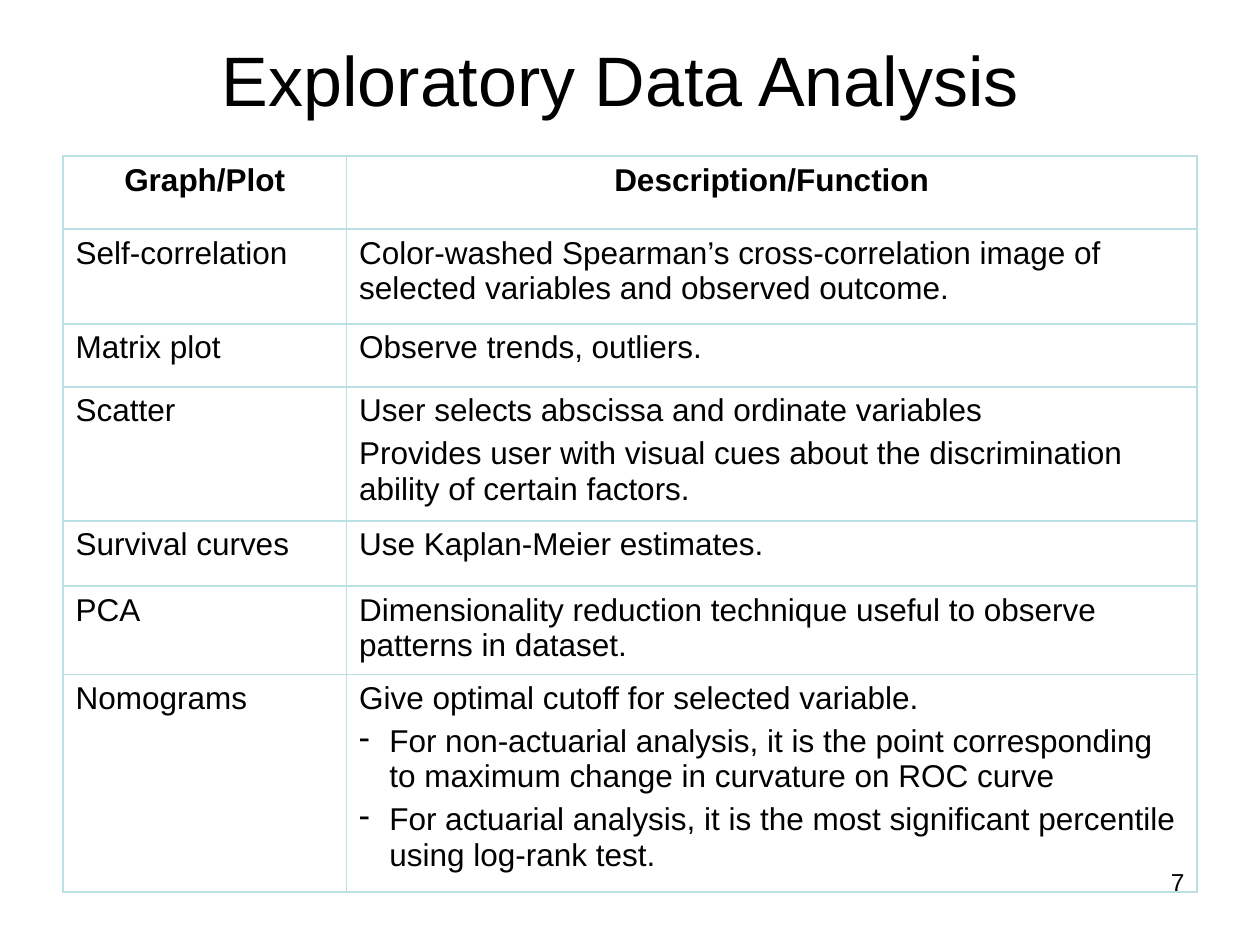
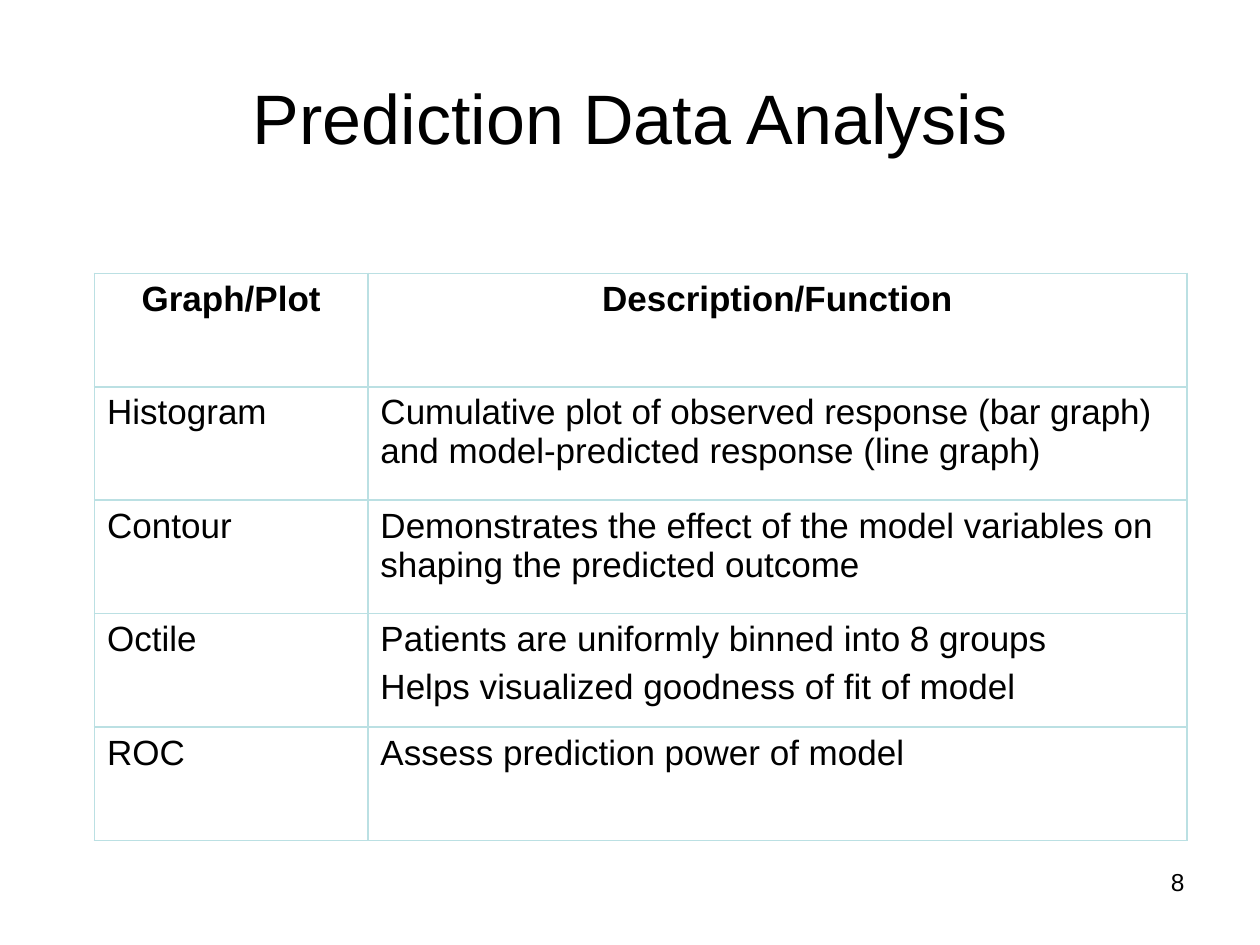
import pptx
import pptx.util
import pptx.dml.color
import pptx.enum.text
import pptx.oxml
import pptx.oxml.ns

Inches, Pt = pptx.util.Inches, pptx.util.Pt
ALIGN = pptx.enum.text.PP_ALIGN
ANCHOR = pptx.enum.text.MSO_ANCHOR

# Content: a cell is a list of paragraphs, "- " starts a dash item
HEAD = (["Graph/Plot"], ["Description/Function"])
PAGES = [
    {
        "title": "Exploratory Data Analysis ", "title_at": (0.5, 0.08, 9, 1.08),
        "page": "7", "spot": (0.5, 1.24), "size": 18, "gap": 4.5,
        "cols": [2.25, 6.75],
        "tall": [0.58, 0.75, 0.5, 1.06, 0.52, 0.7, 1.72],
        "rows": [
            (["Self-correlation"],
             ["Color-washed Spearman’s cross-correlation image of selected "
              "variables and observed outcome."]),
            (["Matrix plot"], ["Observe trends, outliers."]),
            (["Scatter"],
             ["User selects abscissa and ordinate variables",
              "Provides user with visual cues about the discrimination "
              "ability of certain factors."]),
            (["Survival curves"], ["Use Kaplan-Meier estimates."]),
            (["PCA"],
             ["Dimensionality reduction technique useful to observe patterns "
              "in dataset."]),
            (["Nomograms"],
             ["Give optimal cutoff for selected variable.",
              "- For non-actuarial analysis, it is the point corresponding to "
              "maximum change in curvature on ROC curve",
              "- For actuarial analysis, it is the most significant percentile "
              "using log-rank test."]),
        ],
    },
    {
        "title": "Prediction Data Analysis", "title_at": (0.5, 0.3, 9, 1.25),
        "page": "8", "spot": (0.75, 2.17), "size": 20, "gap": 5,
        "cols": [2.17, 6.5],
        "tall": [0.9] * 5,
        "rows": [
            (["Histogram"],
             ["Cumulative plot of observed response (bar graph) and "
              "model-predicted response (line graph)"]),
            (["Contour"],
             ["Demonstrates the effect of the model variables on shaping the "
              "predicted outcome"]),
            (["Octile"],
             ["Patients are uniformly binned into 8 groups",
              "Helps visualized goodness of fit of model"]),
            (["ROC"], ["Assess prediction power of model"]),
        ],
    },
]

# Shared look
HUES = {"text": "000000", "rule": "BBE0E3", "back": "FFFFFF"}
FACE = "Arial"
RULE = 1.08
DASH = 0.24
PAGE_AT = (7.17, 6.83, 2.33, 0.52)
PADS = {"margin_left": 0.1, "margin_right": 0.1,
        "margin_top": 0.05, "margin_bottom": 0.05}


def hue(name):
    return pptx.dml.color.RGBColor.from_string(HUES[name])


def pad(part):
    for key, value in PADS.items():
        setattr(part, key, Inches(value))


def style(para, size, bold=False):
    look = {"name": FACE, "size": Pt(size), "bold": bold}
    for key, value in look.items():
        setattr(para.font, key, value)
    para.font.color.rgb = hue("text")


def xml(tag, body):
    space = pptx.oxml.ns.nsdecls("a")
    return pptx.oxml.parse_xml(f"<a:{tag} {space} {body}")


def add_text(slide, at, text, size, align, anchor):
    frame = slide.shapes.add_textbox(*map(Inches, at)).text_frame
    pad(frame)
    frame.word_wrap, frame.vertical_anchor = True, anchor
    para = frame.paragraphs[0]
    para.text, para.alignment = text, align
    style(para, size)


def add_dash(para):
    props = para._p.get_or_add_pPr()
    props.set("marL", str(Inches(DASH)))
    props.set("indent", str(-Inches(DASH)))
    props.append(xml("buClr", f'><a:srgbClr val="{HUES["text"]}"/></a:buClr>'))
    props.append(xml("buChar", 'char="-"/>'))


def add_rules(cell):
    props = cell._tc.get_or_add_tcPr()
    for at, side in enumerate(("lnL", "lnR", "lnT", "lnB")):
        props.insert(at, xml(side, f'w="{Pt(RULE)}"><a:solidFill><a:srgbClr '
                             f'val="{HUES["rule"]}"/></a:solidFill></a:{side}>'))


def fill_cell(cell, lines, page, head):
    pad(cell)
    cell.fill.background()
    add_rules(cell)
    frame = cell.text_frame
    for nth, line in enumerate(lines):
        para = frame.add_paragraph() if nth else frame.paragraphs[0]
        para.text = line.removeprefix("- ")
        para.alignment = ALIGN.CENTER if head else ALIGN.LEFT
        if nth:
            para.space_before = Pt(page["gap"])
        if line.startswith("- "):
            add_dash(para)
        style(para, page["size"], head)


def add_grid(slide, page):
    rows = [HEAD] + page["rows"]
    cols, tall = page["cols"], page["tall"]
    box = (*page["spot"], sum(cols), sum(tall))
    grid = slide.shapes.add_table(len(rows), len(cols), *map(Inches, box)).table
    grid.first_row = grid.horz_banding = False
    for col, width in zip(grid.columns, cols):
        col.width = Inches(width)
    for row, height in zip(grid.rows, tall):
        row.height = Inches(height)
    for r, row in enumerate(rows):
        for c, lines in enumerate(row):
            fill_cell(grid.cell(r, c), lines, page, r == 0)


def main():
    deck = pptx.Presentation()
    deck.slide_width, deck.slide_height = Inches(10), Inches(7.5)
    for page in PAGES:
        slide = deck.slides.add_slide(deck.slide_layouts[6])
        slide.background.fill.solid()
        slide.background.fill.fore_color.rgb = hue("back")
        add_text(slide, page["title_at"], page["title"], 40,
                 ALIGN.CENTER, ANCHOR.MIDDLE)
        add_grid(slide, page)
        add_text(slide, PAGE_AT, page["page"], 14, ALIGN.RIGHT, ANCHOR.TOP)
    deck.save("out.pptx")


if __name__ == "__main__":
    main()
